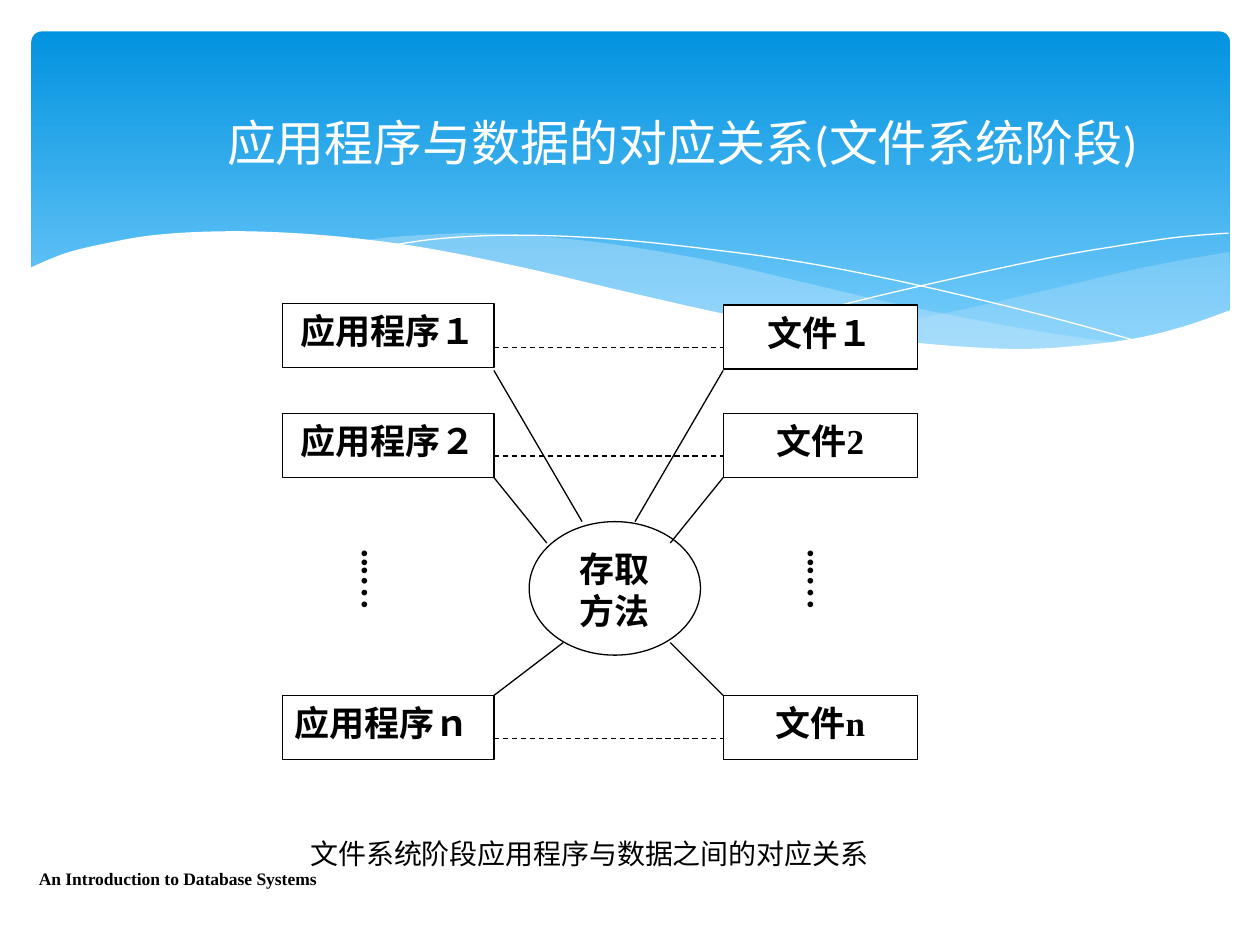
from lxml.etree import SubElement
from pptx import Presentation
from pptx.dml.color import RGBColor
from pptx.enum.dml import MSO_LINE_DASH_STYLE as Dash
from pptx.enum.shapes import MSO_CONNECTOR as Link, MSO_SHAPE as Shape
from pptx.enum.text import MSO_ANCHOR as Anchor, PP_ALIGN as Align
from pptx.oxml.ns import qn
from pptx.util import Inches, Pt

WIDTH, HEIGHT = Inches(10), Inches(7.5)
COLUMNS = 100
BLACK, WHITE, MIST = "000000", "FFFFFF", "C6E7FC"
SERIF, SANS = "Times New Roman", "Calibri"
APP_LEFT, APP_RIGHT, FILE_LEFT = 22.4, 39.2, 57.4

BACK_WAVE = [
    [(97.6, 20), (93.5, 20.7), (89.1, 21.6), (83.2, 23), (75.3, 24.8), (66.1, 26.5)],
    [(66.1, 26.5), (71.8, 27.3), (76.9, 27.7), (81.4, 27.8), (86.3, 27.5),
     (90.5, 26.9), (94.2, 25.9), (97.6, 24.7)],
]
MIDDLE_WAVE = [
    [(89.3, 27.3), (83.7, 26.5), (77.5, 25.4), (70.6, 24), (62.9, 22.2), (56.9, 20.8),
     (51.4, 19.8), (46.4, 19.1), (42, 18.7), (38, 18.5), (34.4, 18.6), (31.3, 18.8), (28.6, 19.1)],
    [(28.6, 19.1), (34.2, 19.9), (40.4, 21.1), (44.9, 22.2), (53, 24), (60.1, 25.5),
     (66.5, 26.6), (72.2, 27.4), (77.3, 27.8), (81.8, 27.9), (85.7, 27.7), (89.3, 27.3)],
]
FALLING_LINE = [[(30.9, 19.5), (34.3, 19), (38.7, 18.7), (43.3, 18.7), (48.9, 19), (55.6, 19.7),
                 (63.6, 20.8), (72.7, 22.6), (83.1, 25.1), (90.7, 27.2)]]
RISING_LINE = [[(61.3, 25.7), (67.2, 24.1), (74.8, 22.3), (83.6, 20.4), (89.5, 19.4),
                (93.7, 18.8), (97.5, 18.5)]]
FRONT_WAVE = [
    [(97.7, 24.6), (94, 25.9), (89.9, 26.9), (85, 27.5), (80.9, 27.7), (76.1, 27.5),
     (70.8, 27), (64.7, 26.2), (57.9, 25), (50.3, 23.3), (41.8, 21.3), (33.9, 19.7),
     (27.1, 18.8), (21.1, 18.4), (16.1, 18.4), (11.9, 18.7), (8.5, 19.3), (5.2, 20.1), (2.3, 21.3)],
    [(2.3, 32.9), (97.7, 32.9)],
]


def grid(cells):
    """Turn grid cells, a hundred to the slide's width, into a length."""
    return round(cells * WIDTH / COLUMNS)


def rgb(code):
    """Turn a hex string into a colour."""
    return RGBColor.from_string(code)


def smooth(knots, steps=6):
    """Return points on a Catmull-Rom curve through the knots."""
    ends = [knots[0], *knots, knots[-1]]
    points = [knots[0]]
    for a, b, c, d in zip(ends, ends[1:], ends[2:], ends[3:]):
        for step in range(1, steps + 1):
            t = step / steps
            points.append(tuple(
                q + t * ((r - p) + t * ((2 * p - 5 * q + 4 * r - s) + t * (3 * q - p - 3 * r + s))) / 2
                for p, q, r, s in zip(a, b, c, d)))
    return points


def write(box, text, size=20, font=SERIF, color=BLACK, bold=True, align=Align.CENTER,
          anchor=Anchor.TOP, wrap=True):
    """Put one formatted paragraph in a shape."""
    frame = box.text_frame
    frame.word_wrap, frame.vertical_anchor = wrap, anchor
    para = frame.paragraphs[0]
    para.alignment = align
    span = para.add_run()
    span.text = text
    span.font.size, span.font.name, span.font.bold = Pt(size), font, bold
    span.font.color.rgb = rgb(color)


def add_text(page, area, text, **style):
    """Add a text box over an area of the grid."""
    box = page.shapes.add_textbox(*map(grid, area))
    write(box, text, **style)
    return box


def add_node(page, kind, area, text, **style):
    """Add a white outlined shape with a label."""
    node = page.shapes.add_shape(kind, *map(grid, area))
    node.shadow.inherit = False
    node.fill.solid()
    node.fill.fore_color.rgb = rgb(WHITE)
    node.line.color.rgb = rgb(BLACK)
    node.line.width = Pt(0.75)
    write(node, text, **style)


def add_line(page, start, end, dash=None):
    """Draw a straight black line between two grid points."""
    line = page.shapes.add_connector(Link.STRAIGHT, *map(grid, (*start, *end)))
    line.line.color.rgb = rgb(BLACK)
    line.line.width = Pt(0.75)
    if dash:
        line.line.dash_style = dash
    SubElement(line._element.spPr, qn("a:effectLst"))


def add_curve(page, curves, fill=None, opacity=100):
    """Draw a filled wave, or a white hairline when no fill is given."""
    points = [tuple(map(grid, point)) for knots in curves for point in smooth(knots)]
    builder = page.shapes.build_freeform(*points[0])
    builder.add_line_segments(points[1:], close=bool(fill))
    curve = builder.convert_to_shape()
    curve.shadow.inherit = False
    if not fill:
        curve.fill.background()
        curve.line.color.rgb = rgb(WHITE)
        curve.line.width = Pt(0)
        return
    curve.line.fill.background()
    curve.fill.solid()
    curve.fill.fore_color.rgb = rgb(fill)
    if opacity < 100:
        color = curve._element.spPr.find(".//" + qn("a:srgbClr"))
        SubElement(color, qn("a:alpha"), val=str(opacity * 1000))


def add_banner(page):
    """Draw the blue gradient banner and its waves."""
    banner = page.shapes.add_shape(Shape.ROUNDED_RECTANGLE, *map(grid, (2.5, 2.5, 95.1, 27)))
    banner.adjustments[0] = 0.03
    banner.shadow.inherit = False
    banner.line.fill.background()
    banner.fill.gradient()
    banner.fill.gradient_angle = 270
    for stop, place, color in zip(banner.fill.gradient_stops, (0, 1), ("0293E0", "83D3FE")):
        stop.position, stop.color.rgb = place, rgb(color)
    add_curve(page, BACK_WAVE, MIST, 29)
    add_curve(page, MIDDLE_WAVE, MIST, 40)
    add_curve(page, FALLING_LINE)
    add_curve(page, RISING_LINE)
    add_curve(page, FRONT_WAVE, WHITE)


def add_dots(page, left, height):
    """Add a vertical ellipsis."""
    box = add_text(page, (left, 42.6, 5.3, height), "...…", align=Align.LEFT, anchor=Anchor.MIDDLE)
    frame = box.text_frame
    frame.margin_left = frame.margin_right = grid(0.5)
    frame.margin_top = frame.margin_bottom = grid(1)
    frame._txBody.bodyPr.set("vert", "eaVert")


def add_diagram(page):
    """Draw programs and files joined through the access method."""
    rows = [
        (24.1, 24.2, "应用程序１", "文件１", Align.CENTER),
        (32.8, 32.8, "应用程序２", "文件2", Align.CENTER),
        (55.2, 55.2, "应用程序ｎ", "文件n", Align.JUSTIFY),
    ]
    for app_top, file_top, app, file, align in rows:
        add_node(page, Shape.RECTANGLE, (APP_LEFT, app_top, APP_RIGHT - APP_LEFT, 5.1), app, align=align)
        add_node(page, Shape.RECTANGLE, (FILE_LEFT, file_top, 15.4, 5.1), file)
        level = file_top + 3.4
        add_line(page, (APP_RIGHT, level), (FILE_LEFT, level), Dash.DASH)
    add_node(page, Shape.OVAL, (42, 41.4, 13.6, 10.6), "存取方法")
    spokes = [(29.4, 46.2, 50.4, 41.4), (37.9, 43.4, 53.2, 43.1), (55.2, 44.7, 53.2, 51)]
    for corner, left, right, rim in spokes:
        add_line(page, (APP_RIGHT, corner), (left, rim))
        add_line(page, (FILE_LEFT, corner), (right, rim))
    add_dots(page, 27.2, 9.1)
    add_dots(page, 62.6, 9.9)


def main():
    """Build the slide and save it."""
    deck = Presentation()
    deck.slide_width, deck.slide_height = WIDTH, HEIGHT
    page = deck.slides.add_slide(deck.slide_layouts[6])
    add_banner(page)
    add_text(page, (10.8, 5, 86.7, 12.5), "应用程序与数据的对应关系(文件系统阶段)",
             size=28, font=SANS, color=WHITE, bold=False, anchor=Anchor.MIDDLE)
    add_text(page, (2.1, 68.4, 41.4, 4), "An Introduction to Database Systems",
             size=10, align=Align.LEFT)
    add_diagram(page)
    add_text(page, (19.6, 65.9, 54.4, 4), "文件系统阶段应用程序与数据之间的对应关系",
             size=16, bold=False, wrap=False)
    deck.save("out.pptx")


if __name__ == "__main__":
    main()
